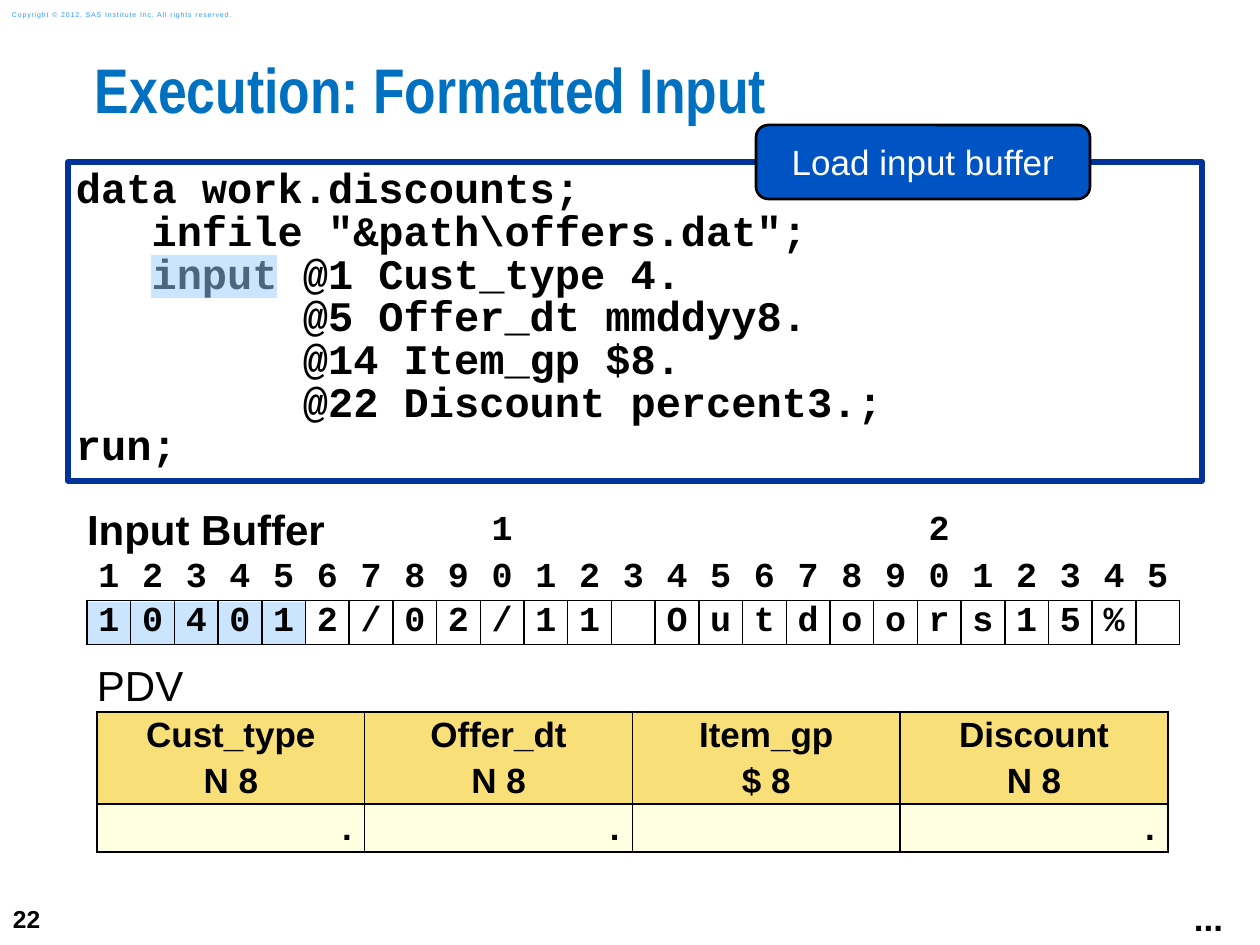
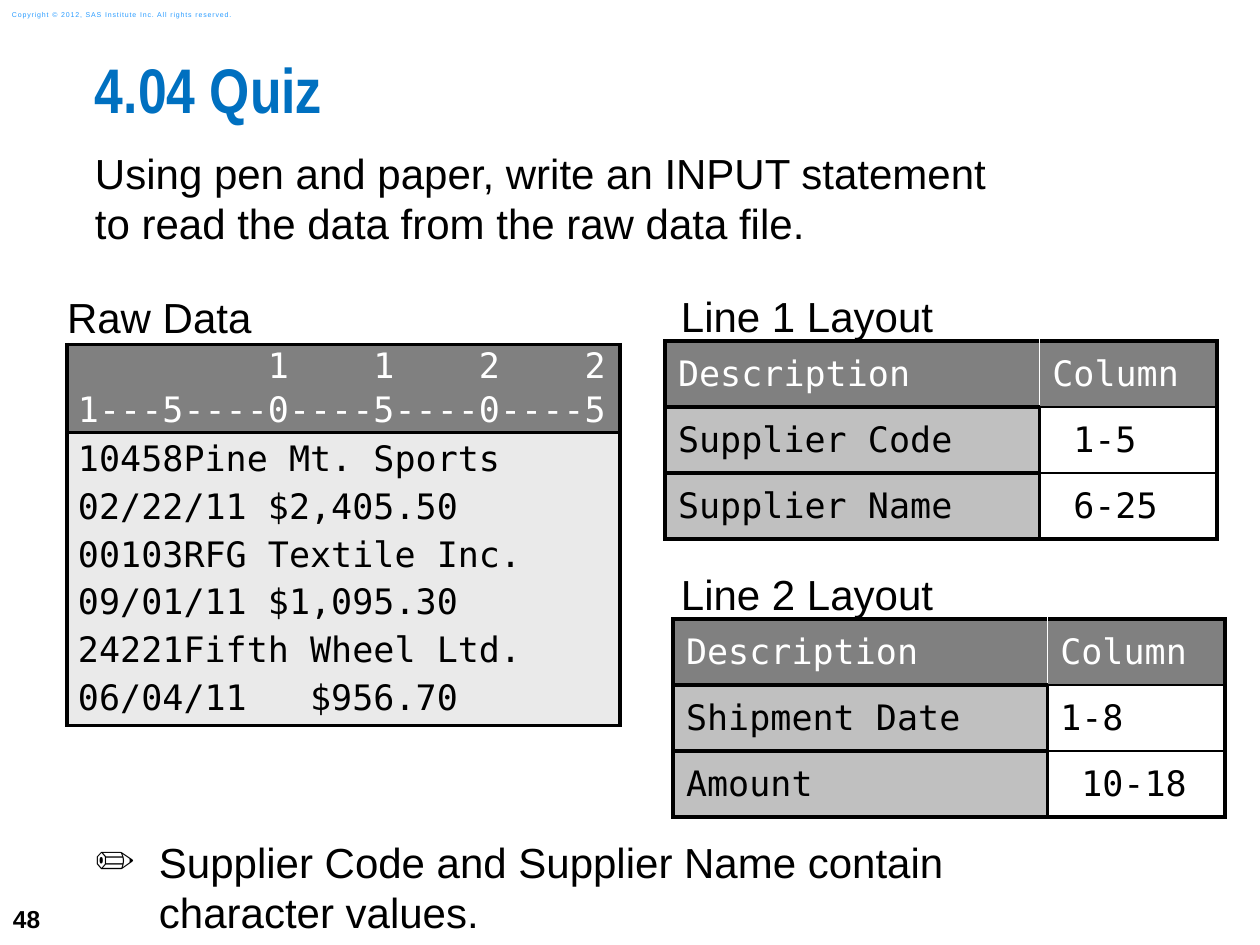
from dataclasses import dataclass, replace

from lxml.etree import SubElement
from pptx import Presentation
from pptx.dml.color import RGBColor
from pptx.enum.shapes import MSO_SHAPE
from pptx.enum.text import MSO_ANCHOR, PP_ALIGN
from pptx.oxml.ns import qn
from pptx.util import Emu, Pt

EMU_PER_PX = 914400 / 126
BLACK = RGBColor(0x00, 0x00, 0x00)
WHITE = RGBColor(0xFF, 0xFF, 0xFF)
TITLE_BLUE = RGBColor(0x00, 0x70, 0xC0)
COPYRIGHT_BLUE = RGBColor(0x2A, 0x9C, 0xFF)
FRAME_BLUE = RGBColor(0x00, 0x33, 0x99)
CALLOUT_BLUE = RGBColor(0x00, 0x53, 0xC3)
HIGHLIGHT_BLUE = RGBColor(0x99, 0xCC, 0xFF)
GOLD = RGBColor(0xF9, 0xDF, 0x78)
CREAM = RGBColor(0xFF, 0xFF, 0xE1)
HEADER_GRAY = RGBColor(0x80, 0x80, 0x80)
LABEL_GRAY = RGBColor(0xC0, 0xC0, 0xC0)
DATA_GRAY = RGBColor(0xEA, 0xEA, 0xEA)

THIN = (BLACK, 1)
THICK = (BLACK, 2.25)
DIVIDER = (WHITE, 1)
SIDES = "LRTB"
THIN_BOX = dict.fromkeys(SIDES, THIN)
THICK_BOX = dict.fromkeys(SIDES, THICK)


@dataclass(frozen=True)
class Style:
    font: str = "Arial"
    size: int = 24
    color: RGBColor = BLACK
    bold: bool = False
    align: PP_ALIGN = PP_ALIGN.LEFT
    line_spacing: float = 1.0
    space_before: float = 0
    tracking: int = 0


BODY = Style()
TITLE = Style("Arial Narrow", 36, TITLE_BLUE, True, line_spacing=0.83)
COPYRIGHT = Style(size=4, color=COPYRIGHT_BLUE, tracking=50)
PAGE_NUMBER = Style(size=14, bold=True)
CALLOUT = Style(size=20, color=WHITE, align=PP_ALIGN.CENTER)
CODE = Style("Courier New", 24, bold=True, line_spacing=0.85)
BUFFER = Style("Courier New", 20, bold=True, align=PP_ALIGN.CENTER)
PDV_HEADER = Style(size=20, bold=True, align=PP_ALIGN.CENTER, space_before=4)
PDV_VALUE = replace(PDV_HEADER, align=PP_ALIGN.RIGHT)
DATA = Style("DejaVu Sans Mono", 20, space_before=4)
DATA_HEADER = replace(DATA, color=WHITE)

PROGRAM = """data work.discounts;
   infile "&path\\offers.dat";
   input @1 Cust_type 4.
         @5 Offer_dt mmddyy8.
         @14 Item_gp $8.
         @22 Discount percent3.;
run;"""
BUFFER_RECORD = "104012/02/11 Outdoors15% "
PDV_VARIABLES = [("Cust_type", "N 8", "."), ("Offer_dt", "N 8", "."),
                 ("Item_gp", "$ 8", ""), ("Discount", "N 8", ".")]
RAW_RECORDS = """10458Pine Mt. Sports
02/22/11 $2,405.50
00103RFG Textile Inc.
09/01/11 $1,095.30
24221Fifth Wheel Ltd.
06/04/11   $956.70"""


def px(length):
    return Emu(round(length * EMU_PER_PX))


def write(frame, paragraphs, style, bullet=None, indent=0):
    for index, lines in enumerate(paragraphs):
        paragraph = frame.paragraphs[0] if index == 0 else frame.add_paragraph()
        if bullet:
            properties = paragraph._p.get_or_add_pPr()
            properties.set("marL", str(px(indent)))
            properties.set("indent", str(-px(indent)))
            SubElement(properties, qn("a:buFont")).set("typeface", style.font)
            SubElement(properties, qn("a:buChar")).set("char", bullet)
        paragraph.alignment = style.align
        paragraph.line_spacing = style.line_spacing
        paragraph.space_before = Pt(style.space_before if index else 0)
        for number, line in enumerate(lines.split("\n")):
            if number:
                paragraph.add_line_break()
            run = paragraph.add_run()
            run.text = line
            run.font.name = style.font
            run.font.size = Pt(style.size)
            run.font.bold = style.bold
            run.font.color.rgb = style.color
            if style.tracking:
                run.font._element.set("spc", str(style.tracking))


def set_frame(frame, margins, anchor, wrap=True):
    frame.word_wrap = wrap
    frame.vertical_anchor = anchor
    frame.margin_left = frame.margin_right = px(margins[0])
    frame.margin_top = frame.margin_bottom = px(margins[1])


def add_text(slide, box, text, style, margins=(0, 0), anchor=MSO_ANCHOR.TOP,
             wrap=True, bullet=None, indent=0):
    frame = slide.shapes.add_textbox(*map(px, box)).text_frame
    set_frame(frame, margins, anchor, wrap)
    write(frame, [text], style, bullet, indent)


def add_box(slide, box, fill, kind=MSO_SHAPE.RECTANGLE, line=None):
    shape = slide.shapes.add_shape(kind, *map(px, box))
    shape.shadow.inherit = False
    shape.fill.solid()
    shape.fill.fore_color.rgb = fill
    if line:
        shape.line.color.rgb = line[0]
        shape.line.width = Pt(line[1])
    else:
        shape.line.fill.background()
    return shape


def add_highlight(slide, box):
    shape = add_box(slide, box, HIGHLIGHT_BLUE)
    color = shape._element.spPr.find(qn("a:solidFill"))[0]
    SubElement(color, qn("a:alpha")).set("val", "50000")


def add_table(slide, left, top, width, column_shares, row_heights):
    box = left, top, width, sum(row_heights)
    table = slide.shapes.add_table(len(row_heights), len(column_shares), *map(px, box)).table
    table.first_row = table.horz_banding = False
    for column, share in zip(table.columns, column_shares):
        column.width = px(width * share / sum(column_shares))
    for row, height in zip(table.rows, row_heights):
        row.height = px(height)
    for cell in table.iter_cells():
        fill_cell(cell)
    return table


def fill_cell(cell, paragraphs=(), style=BODY, fill=None, borders=None, margin=0, indent=0):
    cell.margin_left = px(margin + indent)
    cell.margin_right = px(margin)
    cell.margin_top = cell.margin_bottom = 0
    cell.vertical_anchor = MSO_ANCHOR.MIDDLE
    properties = cell._tc.get_or_add_tcPr()
    for child in list(properties):
        properties.remove(child)
    for side in SIDES:
        edge = SubElement(properties, qn(f"a:ln{side}"))
        if borders and side in borders:
            color, width = borders[side]
            edge.set("w", str(Pt(width)))
            SubElement(SubElement(edge, qn("a:solidFill")), qn("a:srgbClr")).set("val", str(color))
        else:
            SubElement(edge, qn("a:noFill"))
    if fill is None:
        cell.fill.background()
    else:
        cell.fill.solid()
        cell.fill.fore_color.rgb = fill
    write(cell.text_frame, paragraphs, style)


def add_base_slide(presentation, title, number):
    slide = presentation.slides.add_slide(presentation.slide_layouts[6])
    add_text(slide, (0, 892, 73, 53), number, PAGE_NUMBER, (13, 6), MSO_ANCHOR.MIDDLE, wrap=False)
    add_text(slide, (0, 4, 266, 21), "Copyright © 2012, SAS Institute Inc. All rights reserved.",
             COPYRIGHT, (12, 6), MSO_ANCHOR.MIDDLE)
    add_text(slide, (95, 63, 1165, 93), title, TITLE)
    return slide


def add_pdv(slide):
    table = add_table(slide, 97, 661, 1071, [1] * len(PDV_VARIABLES), [51, 92, 48])
    table.cell(0, 0).merge(table.cell(0, len(PDV_VARIABLES) - 1))
    for column, (name, kind, value) in enumerate(PDV_VARIABLES):
        fill_cell(table.cell(0, column), ["PDV"] if column == 0 else [], BODY, WHITE, {"B": THIN})
        fill_cell(table.cell(1, column), [name, kind], PDV_HEADER, GOLD, THIN_BOX, 13)
        fill_cell(table.cell(2, column), [value], PDV_VALUE, CREAM, THIN_BOX, 13)


def add_input_buffer(slide):
    table = add_table(slide, 87, 506, 1093, [1] * len(BUFFER_RECORD), [50, 44, 44])
    table.cell(0, 0).merge(table.cell(0, 8))
    fill_cell(table.cell(0, 0), ["Input Buffer"], replace(BODY, bold=True))
    for column, character in enumerate(BUFFER_RECORD):
        tens, units = divmod(column + 1, 10)
        if units == 0:
            fill_cell(table.cell(0, column), [str(tens)], BUFFER)
        fill_cell(table.cell(1, column), [str(units)], BUFFER, borders={"B": THIN})
        fill_cell(table.cell(2, column), [character.strip()], BUFFER, borders=THIN_BOX)


def add_raw_data(slide):
    margin = 11
    table = add_table(slide, 67, 294, 553, [1], [50, 44, 44, 293])
    sides = {"L": THICK, "R": THICK}
    fill_cell(table.cell(0, 0), ["Raw Data"], BODY, borders={"B": THICK})
    fill_cell(table.cell(1, 0), ["         1    1    2    2"], DATA_HEADER, HEADER_GRAY,
              {**sides, "T": THICK}, margin)
    fill_cell(table.cell(2, 0), ["1---5----0----5----0----5"], DATA_HEADER, HEADER_GRAY,
              {**sides, "B": THICK}, margin)
    fill_cell(table.cell(3, 0), RAW_RECORDS.split("\n"), DATA, DATA_GRAY, THICK_BOX, margin)


def add_layout(slide, left, top, label, label_left, fields):
    add_text(slide, (label_left, top - 63, 280, 76), label, BODY, (13, 13),
             MSO_ANCHOR.MIDDLE, wrap=False)
    table = add_table(slide, left, top, 552, [297, 141], [66] * (len(fields) + 1))
    fill_cell(table.cell(0, 0), ["Description"], DATA_HEADER, HEADER_GRAY,
              {**THICK_BOX, "R": DIVIDER}, 13)
    fill_cell(table.cell(0, 1), ["Column"], DATA_HEADER, HEADER_GRAY,
              {**THICK_BOX, "L": DIVIDER, "B": THIN}, 13)
    for row, (name, columns, indent) in enumerate(fields, 1):
        bottom = THICK if row == len(fields) else THIN
        fill_cell(table.cell(row, 0), [name], DATA, LABEL_GRAY, THICK_BOX, 13)
        fill_cell(table.cell(row, 1), [columns], DATA, None,
                  {**THICK_BOX, "T": THIN, "B": bottom}, 13, indent)


def build_execution_slide(presentation):
    slide = add_base_slide(presentation, "Execution: Formatted Input", "22")
    add_pdv(slide)
    program = add_box(slide, (68, 162, 1134, 319), WHITE, line=(FRAME_BLUE, 3))
    set_frame(program.text_frame, (8, 7), MSO_ANCHOR.TOP)
    write(program.text_frame, PROGRAM.split("\n"), CODE)
    add_text(slide, (1182, 890, 64, 55), "...", Style(size=20, bold=True), (12, 6))
    callout = add_box(slide, (756, 125, 334, 74), CALLOUT_BLUE,
                      MSO_SHAPE.ROUNDED_RECTANGLE, (BLACK, 1.5))
    set_frame(callout.text_frame, (13, 13), MSO_ANCHOR.MIDDLE)
    write(callout.text_frame, ["Load input buffer"], CALLOUT)
    add_highlight(slide, (88, 602, 218, 43))
    add_highlight(slide, (151, 255, 126, 43))
    add_input_buffer(slide)


def build_quiz_slide(presentation):
    slide = add_base_slide(presentation, "4.04 Quiz", "48")
    add_text(slide, (95, 147, 1165, 104),
             "Using pen and paper, write an INPUT statement\nto read the data from the raw data file.",
             BODY)
    add_raw_data(slide)
    indent = 21
    add_layout(slide, 665, 341, "Line 1 Layout", 668,
               [("Supplier Code", "1-5", indent), ("Supplier Name", "6-25", indent)])
    add_layout(slide, 673, 619, "Line 2 Layout", 668,
               [("Shipment Date", "1-8", 0), ("Amount", "10-18", indent)])
    add_text(slide, (95, 836, 1165, 104),
             "Supplier Code and Supplier Name contain\ncharacter values.",
             BODY, bullet="✏", indent=64)


def main():
    presentation = Presentation()
    presentation.slide_width = px(1260)
    presentation.slide_height = px(945)
    build_execution_slide(presentation)
    build_quiz_slide(presentation)
    presentation.save("out.pptx")


if __name__ == "__main__":
    main()
